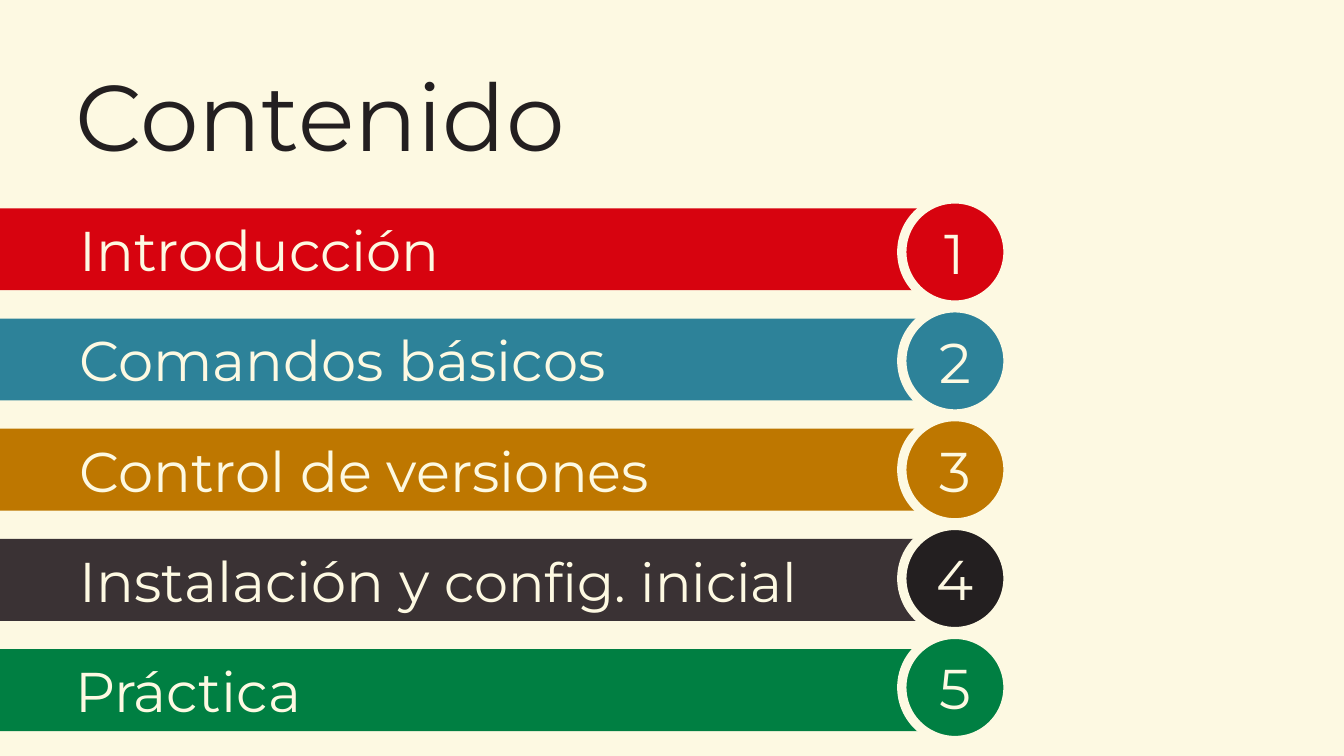
from pptx import Presentation
from pptx.dml.color import RGBColor
from pptx.enum.shapes import MSO_SHAPE
from pptx.enum.text import MSO_ANCHOR, PP_ALIGN
from pptx.util import Inches, Pt

CREAM = "FDF9E2"
INK = "231F20"

# Runs of (text, size), bar left, bar width, bar colour, circle colour
TOPICS = [
    ([("Introducción", 30)], 0, 7.1, "D7030F", "D7030F"),
    ([("Comandos básicos", 30)], 0, 7.1, "2D8299", "2D8299"),
    ([("Control de versiones", 30)], 0, 7.02, "BE7700", "BE7700"),
    ([("Instalación y ", 30), ("config. inicial", 29)], 0, 7.1, "3A3234", INK),
    ([("Práctica", 30)], -0.03, 7.1, "007F42", "007F42"),
]


def rgb(value):
    return RGBColor.from_string(value)


def write(shape, runs, color, margins, align=PP_ALIGN.LEFT):
    """Fill a shape with one paragraph; margins are left, top, right, bottom in inches."""
    frame = shape.text_frame
    frame.word_wrap = True
    frame.vertical_anchor = MSO_ANCHOR.MIDDLE
    (frame.margin_left, frame.margin_top,
     frame.margin_right, frame.margin_bottom) = map(Inches, margins)
    paragraph = frame.paragraphs[0]
    paragraph.alignment = align
    paragraph.font.name = "Montserrat"
    paragraph.font.color.rgb = rgb(color)
    for text, size in runs:
        run = paragraph.add_run()
        run.text = text
        run.font.size = Pt(size)
    return paragraph


prs = Presentation()
prs.slide_width = Inches(10)
prs.slide_height = Inches(10) * 9 // 16
slide = prs.slides.add_slide(prs.slide_layouts[6])
slide.background.fill.solid()
slide.background.fill.fore_color.rgb = rgb(CREAM)

title = slide.shapes.add_textbox(Inches(0.49), Inches(0.36), Inches(7.19), Inches(1.09))
heading = write(title, [("Contenido", 50)], INK, (0.07, 0.04, 0.07, 0.04))
heading.line_spacing = 0.9

for i, (runs, left, width, bar_color, circle_color) in enumerate(TOPICS):
    bar = slide.shapes.add_shape(
        MSO_SHAPE.RECTANGLE, Inches(left), Inches(1.55 + 0.82 * i), Inches(width), Inches(0.61))
    bar.shadow.inherit = False
    bar.fill.solid()
    bar.fill.fore_color.rgb = rgb(bar_color)
    bar.line.fill.background()
    write(bar, runs, CREAM, (0.59, 0.04, 0.07, 0.04))

    circle = slide.shapes.add_shape(
        MSO_SHAPE.OVAL, Inches(6.71), Inches(1.48 + 0.81 * i), Inches(0.79), Inches(0.79))
    circle.shadow.inherit = False
    circle.fill.solid()
    circle.fill.fore_color.rgb = rgb(circle_color)
    circle.line.color.rgb = rgb(CREAM)
    circle.line.width = Pt(5)
    write(circle, [(str(i + 1), 30)], CREAM, (0, 0, 0, 0), PP_ALIGN.CENTER)

prs.save("out.pptx")
